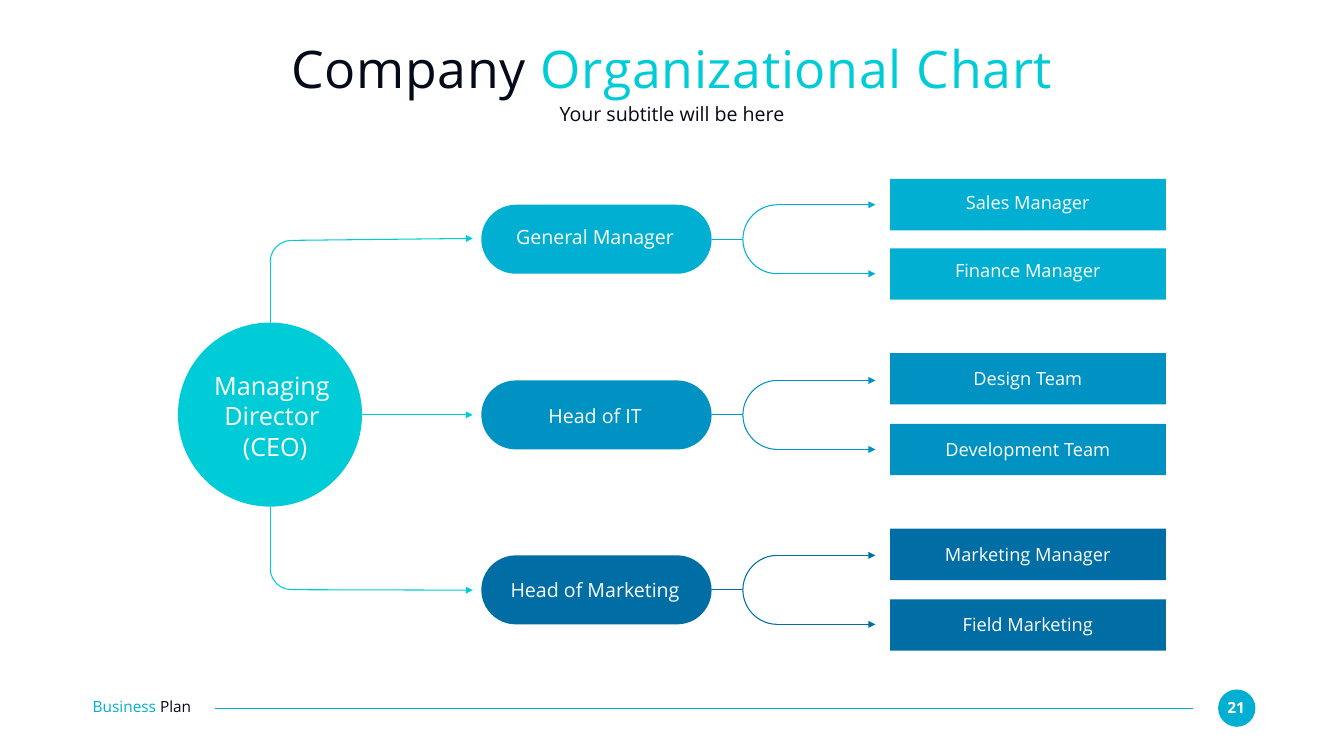
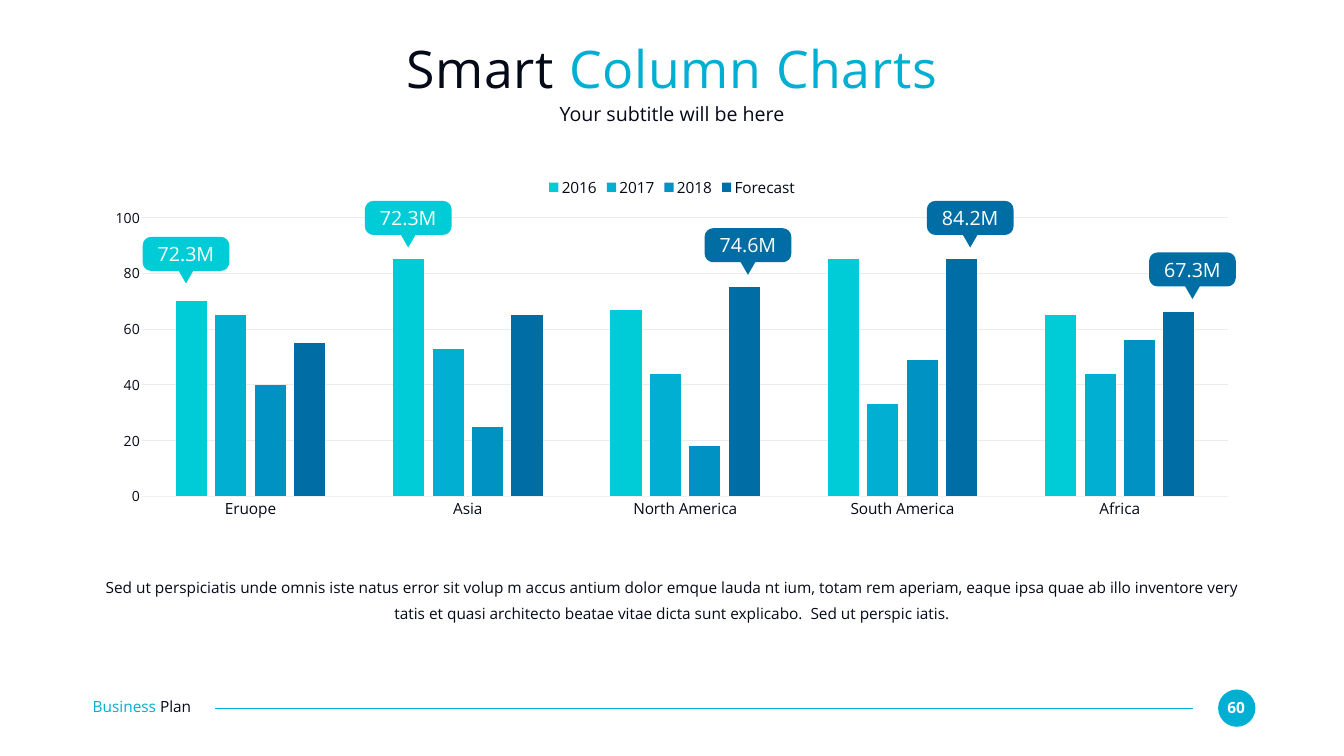
from lxml.etree import SubElement
from pptx import Presentation
from pptx.chart.data import CategoryChartData
from pptx.dml.color import RGBColor
from pptx.enum.chart import XL_CHART_TYPE, XL_LEGEND_POSITION, XL_TICK_MARK
from pptx.enum.shapes import MSO_CONNECTOR, MSO_SHAPE
from pptx.enum.text import MSO_ANCHOR, MSO_AUTO_SIZE, PP_ALIGN
from pptx.oxml.ns import qn
from pptx.util import Pt


class Theme:
    font = "Open Sans"
    ink = RGBColor.from_string("050A19")
    white = RGBColor.from_string("FFFFFF")
    aqua = RGBColor.from_string("00CCD7")
    sky = RGBColor.from_string("00AFD2")
    blue = RGBColor.from_string("0092C3")
    navy = RGBColor.from_string("006DA4")
    grid = RGBColor.from_string("EBEBEB")
    axis = RGBColor.from_string("F0F0F0")
    title, chief, label, leaf, body, tick = 74, 36, 28, 26, 22, 20
    stroke = 1.5


def write(shape, paras, size, align=PP_ALIGN.CENTER, bold=False, track=None):
    """Fill a shape with paragraphs, each a list of (text, color) runs."""
    frame = shape.text_frame
    frame.word_wrap = True
    frame.auto_size = MSO_AUTO_SIZE.SHAPE_TO_FIT_TEXT
    frame.margin_left = frame.margin_right = 0
    frame.margin_top = frame.margin_bottom = 0
    for i, runs in enumerate(paras):
        para = frame.add_paragraph() if i else frame.paragraphs[0]
        para.alignment = align
        for words, color in runs:
            run = para.add_run()
            run.text = words
            run.font.name = Theme.font
            run.font.size = Pt(size)
            run.font.bold = bold
            run.font.color.rgb = color
            if track:
                run.font._element.set("spc", str(track * 100))
    return frame


def paint(item, color, stroke=False, head=False):
    """Fill a shape, or stroke an arc or connector, without a shadow."""
    if stroke:
        item.line.color.rgb = color
        item.line.width = Pt(Theme.stroke)
    else:
        item.fill.solid()
        item.fill.fore_color.rgb = color
        item.line.fill.background()
    props = item._element.spPr
    if head:
        SubElement(props.find(qn("a:ln")), qn("a:headEnd"),
                   type="triangle", w="lg", len="lg")
    SubElement(props, qn("a:effectLst"))


deck = Presentation()
deck.slide_width, deck.slide_height = Pt(1920), Pt(1080)

# Title, subtitle and footer of each slide
pages = [
    ("21", "Company ", "Organizational Chart", Theme.aqua),
    ("60", "Smart ", "Column Charts", Theme.sky),
]
slides = []
for number, lead, rest, color in pages:
    slide = deck.slides.add_slide(deck.slide_layouts[5])
    slides.append(slide)
    shapes = slide.shapes
    title = shapes.title
    title.left, title.top, title.width, title.height = map(Pt, (132, 51.3, 1656, 91.5))
    sub = shapes.add_textbox(*map(Pt, (132, 144.8, 1656, 35.3)))
    heads = [
        write(title, [[(lead, Theme.ink), (rest, color)]], Theme.title, track=1),
        write(sub, [[("Your subtitle will be here", Theme.ink)]], Theme.label),
    ]
    for frame in heads:
        frame.auto_size = MSO_AUTO_SIZE.NONE
        frame.vertical_anchor = MSO_ANCHOR.MIDDLE

    disc = shapes.add_shape(MSO_SHAPE.OVAL, *map(Pt, (1740.2, 985, 53.3, 53.3)))
    paint(disc, Theme.sky)
    page = shapes.add_textbox(*map(Pt, (1744.6, 997.2, 42.5, 26.6)))
    write(page, [[(number, Theme.white)]], Theme.body, bold=True)
    rule = shapes.add_connector(
        MSO_CONNECTOR.STRAIGHT, *map(Pt, (1704, 1011.6, 307.4, 1011.6)))
    paint(rule, Theme.sky, stroke=True)
    brand = shapes.add_textbox(*map(Pt, (132.5, 996.5, 186.5, 26.6)))
    write(brand, [[("Business ", Theme.sky), ("Plan", Theme.ink)]],
          Theme.body, PP_ALIGN.LEFT)

# Organizational chart: middle, color, (name, label top),
# then (name, box top, label top) for each report
rows = [
    (341.8, Theme.sky, ("General Manager", 321.8),
     [("Sales Manager", 255.6, 272.9), ("Finance Manager", 354.7, 370.8)]),
    (592.8, Theme.blue, ("Head of IT", 577.4),
     [("Design Team", 504.4, 525.2), ("Development Team", 605.5, 626.4)]),
    (842.7, Theme.navy, ("Head of Marketing", 825.8),
     [("Marketing Manager", 755.3, 776.2), ("Field Marketing", 856.1, 876.2)]),
]
pill_x, pill_w, pill_h = 687.6, 329, 98.6
fork_x, tip_x, half = 1061.3, 1250.6, pill_h / 2
stem_x, bend, ceo_y, ceo_d = 385.9, 61.2, 460.8, 263

nodes = [(MSO_SHAPE.OVAL, (254.2, ceo_y, ceo_d, ceo_d), Theme.aqua)]
arcs = [
    ((stem_x, 343.4, bend, bend), Theme.aqua, "corner"),
    ((stem_x, 781.2, bend, bend), Theme.aqua, "turned"),
]
links = [
    ((675.4, 340.6, 416.2, 343.4), Theme.aqua, True),
    ((stem_x, ceo_y, stem_x, 373.7), Theme.aqua, False),
    ((675.4, 592.6, 517.7, 592.6), Theme.aqua, True),
    ((675.4, 843.1, 416.2, 842.4), Theme.aqua, True),
    ((stem_x, ceo_y + ceo_d, stem_x, 811.4), Theme.aqua, False),
]
labels = [((267.8, 529.2, 241.2, 131), ["Managing Director", " (CEO)"], Theme.chief)]
for mid, color, (name, top), reports in rows:
    nodes.append((MSO_SHAPE.ROUNDED_RECTANGLE,
                  (pill_x, mid - half, pill_w, pill_h), color))
    labels.append(((711.4, top, 277.2, 33.8), [name], Theme.label))
    arcs.append(((fork_x, mid - half, pill_h, pill_h), color, "fork"))
    links.append(((pill_x + pill_w, mid, fork_x, mid), color, False))
    for (report, box_y, text_y), y in zip(reports, (mid - half, mid + half)):
        nodes.append((MSO_SHAPE.RECTANGLE, (1271.5, box_y, 394, 73.4), color))
        labels.append(((1329.8, text_y, 277.2, 31.7), [report], Theme.leaf))
        links.append(((tip_x, y, fork_x + half, y), color, True))

shapes = slides[0].shapes
for kind, box, color in nodes:
    node = shapes.add_shape(kind, *map(Pt, box))
    if kind == MSO_SHAPE.ROUNDED_RECTANGLE:
        node.adjustments[0] = 0.5
    paint(node, color)
for box, color, turn in arcs:
    arc = shapes.add_shape(MSO_SHAPE.ARC, *map(Pt, box))
    arc.fill.background()
    if turn == "turned":
        arc.rotation = 180
    else:
        arc._element.spPr.xfrm.set("flipH", "1")
    if turn == "fork":
        arc.adjustments[0], arc.adjustments[1] = 162, 54
    paint(arc, color, stroke=True)
for ends, color, head in links:
    link = shapes.add_connector(MSO_CONNECTOR.STRAIGHT, *map(Pt, ends))
    paint(link, color, stroke=True, head=head)
for box, lines, size in labels:
    label = shapes.add_textbox(*map(Pt, box))
    write(label, [[(words, Theme.white)] for words in lines], size)

# Column chart
shapes = slides[1].shapes
data = CategoryChartData()
data.categories = ["Eruope", "Asia", "North America", "South America", "Africa"]
series = [
    ("2016", (70, 85, 67, 85, 65), Theme.aqua),
    ("2017", (65, 53, 44, 33, 44), Theme.sky),
    ("2018", (40, 25, 18, 49, 56), Theme.blue),
    ("Forecast", (55, 65, 75, 85, 66), Theme.navy),
]
for name, values, color in series:
    data.add_series(name, values)
chart = shapes.add_chart(XL_CHART_TYPE.COLUMN_CLUSTERED,
                         *map(Pt, (132, 243.4, 1656, 508)), data).chart
chart.has_title = False
chart.has_legend = True
chart.legend.position = XL_LEGEND_POSITION.TOP
chart.legend.include_in_layout = False
plot = chart.plots[0]
plot.gap_width, plot.overlap, plot.vary_by_categories = 219, -27, False
for bars, (name, values, color) in zip(plot.series, series):
    bars.format.fill.solid()
    bars.format.fill.fore_color.rgb = color

cats, vals = chart.category_axis, chart.value_axis
fonts = [(chart.font, Theme.body), (chart.legend.font, Theme.body),
         (cats.tick_labels.font, Theme.body), (vals.tick_labels.font, Theme.tick)]
for font, size in fonts:
    font.name, font.size = Theme.font, Pt(size)
    font.color.rgb = Theme.ink
for axis in (cats, vals):
    axis.major_tick_mark = axis.minor_tick_mark = XL_TICK_MARK.NONE
cats.format.line.color.rgb = Theme.axis
cats.format.line.width = Pt(0.75)
vals.format.line.fill.background()
vals.minimum_scale, vals.maximum_scale, vals.major_unit = 0, 100, 20
vals.major_gridlines.format.line.color.rgb = Theme.grid
vals.major_gridlines.format.line.width = Pt(1)

note = shapes.add_textbox(*map(Pt, (132, 815.8, 1656, 71.3)))
words = (
    "Sed ut perspiciatis unde omnis iste natus error sit volup m accus antium "
    "dolor emque lauda nt ium, totam rem aperiam, eaque ipsa quae ab illo "
    "inventore very tatis et quasi architecto beatae vitae dicta sunt explicabo.  "
    "Sed ut perspic iatis."
)
write(note, [[(words, Theme.ink)]], Theme.body).paragraphs[0].line_spacing = 1.4

# Callout outline, clockwise: each corner is a start, two handles and an end
wide, high, drop, curve, wedge = 123.8, 48.6, 66.6, 12.2, 10.4
near = curve * 0.45
right, base, mid = wide - curve, high - curve, wide / 2
outline = [
    (0, curve), (0, near), (near, 0), (curve, 0),
    (right, 0), (wide - near, 0), (wide, near), (wide, curve),
    (wide, base), (wide, high - near), (wide - near, high), (right, high),
    (mid + wedge, high), (mid, drop), (mid - wedge, high),
    (curve, high), (near, high), (0, high - near), (0, base),
]
bends = (0, 4, 8, 15)
points = [(Pt(x), Pt(y)) for x, y in outline]

callouts = [
    (203.8, 338.4, "72.3M", Theme.aqua),
    (521.3, 287, "72.3M", Theme.aqua),
    (1006.6, 326, "74.6M", Theme.navy),
    (1324.1, 287, "84.2M", Theme.navy),
    (1641.6, 360.6, "67.3M", Theme.navy),
]
for left, top, value, color in callouts:
    pen = shapes.build_freeform(*points[0])
    pen.add_line_segments(points[1:], close=True)
    bubble = pen.convert_to_shape(Pt(left), Pt(top))
    steps = list(next(bubble._element.iter(qn("a:path"))))
    for at in bends:
        first, *others = steps[at + 1:at + 4]
        first.tag = qn("a:cubicBezTo")
        for step in others:
            first.append(step[0])
            step.getparent().remove(step)
    paint(bubble, color)
    tag = shapes.add_textbox(*map(Pt, (left + 10, top + 7.4, 103.7, 33.8)))
    write(tag, [[(value, Theme.white)]], Theme.label)

deck.save("out.pptx")
